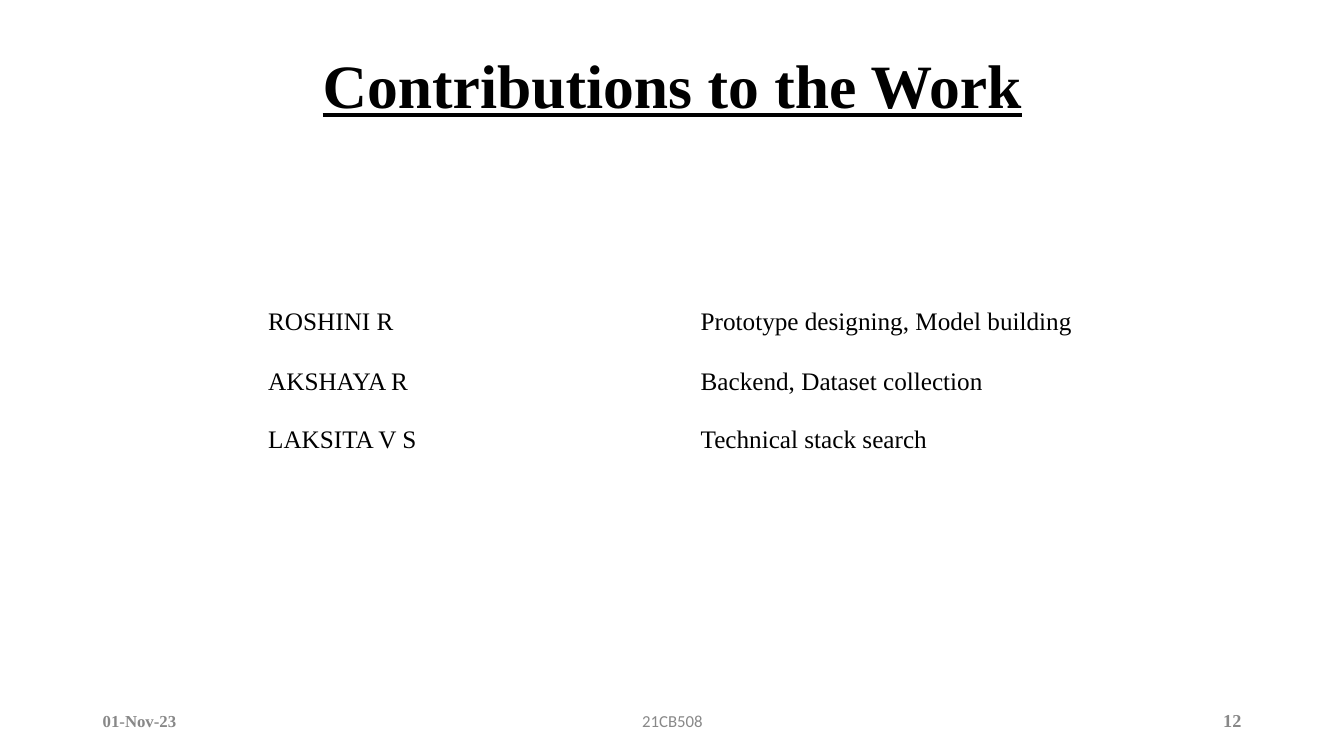
from pptx import Presentation
from pptx.dml.color import RGBColor
from pptx.enum.text import MSO_ANCHOR, PP_ALIGN
from pptx.util import Inches, Pt

SERIF, SANS = "Times New Roman", "Calibri"
BLACK, GREY = "000000", "888888"
CONTRIBUTIONS = [
    ("ROSHINI R", "Prototype designing, Model building"),
    ("AKSHAYA R", "Backend, Dataset collection"),
    ("LAKSITA V S", "Technical stack search"),
]


def rgb(code):
    """Return the colour for a hex string."""
    return RGBColor.from_string(code)


def write(tf, text, size, color, font=SERIF, bold=False, align=PP_ALIGN.LEFT):
    """Put one formatted paragraph in a text frame and return it."""
    tf.text = text
    p = tf.paragraphs[0]
    p.alignment = align
    r = p.runs[0]
    r.font.name, r.font.size, r.font.bold = font, Pt(size), bold
    r.font.color.rgb = rgb(color)
    return p


def add_text(s, box, *args, **style):
    """Add a wrapped, vertically centred text box and return its paragraph."""
    tf = s.shapes.add_textbox(*map(Inches, box)).text_frame
    tf.word_wrap = True
    tf.vertical_anchor = MSO_ANCHOR.MIDDLE
    return write(tf, *args, **style)


def add_title(s, box, text):
    """Add the underlined slide title."""
    p = add_text(s, box, text, 44, BLACK, bold=True, align=PP_ALIGN.CENTER)
    p.line_spacing = 0.9
    p.runs[0].font.underline = True


def add_contributions(s, box, rows, widths, heights):
    """Add the table of members and their tasks."""
    table = s.shapes.add_table(len(rows), len(widths), *map(Inches, box)).table
    table.first_row = table.horz_banding = False
    for column, width in zip(table.columns, widths):
        column.width = Inches(width)
    for i, texts in enumerate(rows):
        table.rows[i].height = Inches(heights[i])
        for j, text in enumerate(texts):
            cell = table.cell(i, j)
            cell.fill.background()
            write(cell.text_frame, text, 18, BLACK)


def add_footer(s, box, date, course, number):
    """Add the date, course code and slide number along the bottom."""
    left, top, width, height = box
    add_text(s, (left, top, 3, height), date, 12, GREY, bold=True)
    add_text(s, (left + 3.5, top, 4.5, height), course, 12, GREY, font=SANS,
             align=PP_ALIGN.CENTER)
    add_text(s, (left + width - 0.82, top, 0.82, height), number, 13, GREY,
             bold=True, align=PP_ALIGN.RIGHT)


def main():
    """Build and save the slide."""
    prs = Presentation()
    prs.slide_width, prs.slide_height = Inches(13.33), Inches(7.5)
    s = prs.slides.add_slide(prs.slide_layouts[6])
    add_title(s, (0.92, 0.4, 11.5, 0.95), "Contributions to the Work")
    add_contributions(s, (2.56, 3.01, 8.34, 1.74), CONTRIBUTIONS,
                      (4.29, 4.05), (0.59, 0.58, 0.57))
    add_footer(s, (0.92, 6.95, 11.49, 0.4), "01-Nov-23", "21CB508", "12")
    prs.save("out.pptx")


if __name__ == "__main__":
    main()
